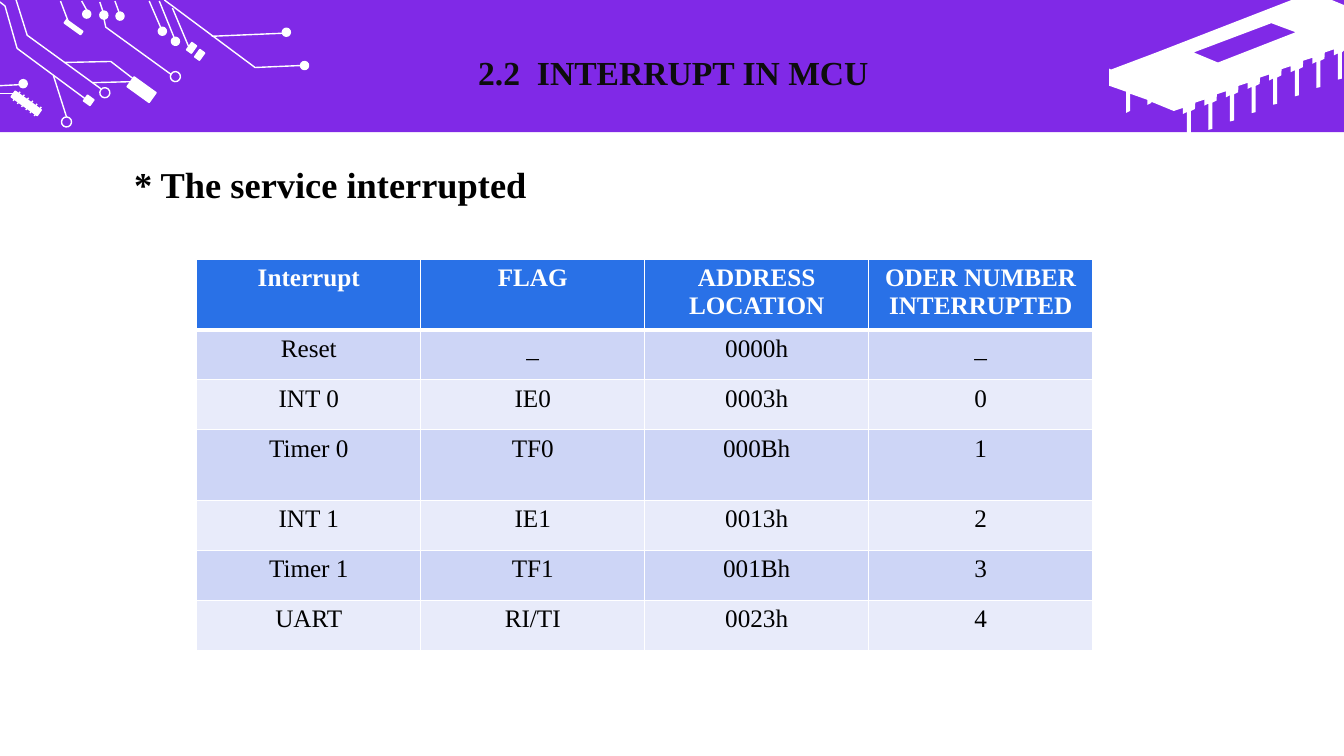
from lxml import etree
from pptx import Presentation, util as u
from pptx.dml.color import RGBColor
from pptx.enum import shapes as sh, text as tx
from pptx.oxml.ns import qn

FONT = "Times New Roman"
WHITE = "FFFFFF"
TILT = 35.7


def color(code):
    return RGBColor.from_string(code)


def paint(part, fill=None, line=None):
    part.shadow.inherit = False
    if fill:
        part.fill.solid()
        part.fill.fore_color.rgb = color(fill)
    else:
        part.fill.background()
    if line:
        part.line.color.rgb = color(line)
        part.line.width = u.Pt(1)
    else:
        part.line.fill.background()


def grid(x, y, wide, cols):
    """Map drawing units to lengths inside a box of the given width."""
    step = wide / cols
    return (lambda n: u.Cm(n * step),
            lambda px, py: (u.Cm(x + px * step), u.Cm(y + py * step)))


def write(para, words, size, ink, bold, align):
    para.text = words
    para.alignment = align
    font = para.font
    font.name, font.size, font.bold = FONT, u.Pt(size), bold
    font.color.rgb = color(ink)


def label(slide, box, words, size, ink, align):
    frame = slide.shapes.add_textbox(*map(u.Cm, box)).text_frame
    frame.word_wrap = True
    write(frame.paragraphs[0], words, size, ink, True, align)
    return frame


def trace(slide, spot, loops, closed):
    first, *rest = [[spot(*p) for p in loop] for loop in loops]
    pen = slide.shapes.build_freeform(*first[0], scale=1.0)
    pen.add_line_segments(first[1:], close=closed)
    for loop in rest:
        pen.move_to(*loop[0])
        pen.add_line_segments(loop[1:], close=closed)
    return pen.convert_to_shape()


def wire(slide, start, end):
    line = slide.shapes.add_connector(sh.MSO_CONNECTOR.STRAIGHT, *start, *end)
    line.line.color.rgb = color(WHITE)
    line.line.width = u.Pt(1)
    etree.SubElement(line._element.spPr, qn("a:effectLst"))


def chip(slide, x, y, wide):
    size, spot = grid(x, y, wide, 233)
    edge = [(181, 0), (221, 0), (233, 5)]
    # Eight pins along the front edge, right to left
    for i in range(8):
        px, py = 231 - 21.4 * i, 52 + 8.3 * i
        edge += [(min(px + 4, 233), py - 2), (px, py), (px, py + 26),
                 (px - 4, py + 27), (px - 4, py + 1), (px - 8, py + 3),
                 (px - 8, py - 3), (px - 17, py)]
    # Left end with its two pins
    edge += [(42, 101), (42, 102), (38, 104), (38, 99), (21, 93), (21, 110),
             (17, 112), (17, 91), (0, 85), (0, 68), (2, 69), (47, 52)]
    window = [(161, 23), (84, 52), (108, 62), (185, 32)]
    paint(trace(slide, spot, [window, edge], True), WHITE)


def board(slide, x, y, wide):
    size, spot = grid(x, y, wide, 305)

    def part(kind, px, py, w, h, fill=WHITE):
        item = slide.shapes.add_shape(kind, *spot(px, py), size(w), size(h))
        item.rotation = TILT
        paint(item, fill, WHITE)

    # Small blocks
    for block in [(127, 83, 27, 12), (63, 25, 20, 4), (84, 96, 8, 7),
                  (187, 43, 6, 9), (195, 50, 6, 9), (10, 99, 32, 7)]:
        part(sh.MSO_SHAPE.RECTANGLE, *block)
    # Solid dots
    for dot in [(298, 61), (280, 28), (82, 10), (99, 11), (115, 12),
                (19, 79), (170, 37), (157, 27)]:
        part(sh.MSO_SHAPE.OVAL, *dot, 8, 8)
    # Open rings
    for ring in [(169, 71), (99, 87), (61, 116)]:
        part(sh.MSO_SHAPE.OVAL, *ring, 10, 10, None)
    # Bent tracks
    for track in [[(163, 0), (253, 67), (299, 65)],
                  [(16, 0), (27, 35), (100, 88)],
                  [(0, 2), (5, 6), (17, 48), (86, 99)],
                  [(64, 62), (110, 61), (132, 78)],
                  [(103, 18), (105, 27), (170, 74)]]:
        paint(trace(slide, spot, [track], False), None, WHITE)
    # Straight tracks and the teeth of the coil
    tracks = [(60, 1, 68, 22), (81, 1, 86, 10), (99, 2, 102, 11),
              (114, 1, 118, 12), (148, 1, 161, 31), (158, 1, 173, 38),
              (210, 36, 280, 33), (171, 8, 187, 46), (0, 85, 19, 84),
              (0, 93, 14, 93), (53, 75, 66, 116), (92, 82, 130, 81)]
    tracks += [(13 + 4.2 * i, 100 + 3 * i, 20 + 4.2 * i, 91 + 3 * i)
               for i in range(6)]
    for ax, ay, bx, by in tracks:
        wire(slide, spot(ax, ay), spot(bx, by))


def header(slide, x, y, wide, high):
    band = slide.shapes.add_shape(sh.MSO_SHAPE.RECTANGLE,
                                  *map(u.Cm, (x, y, wide, high)))
    paint(band, "8029E7")
    chip(slide, x + wide - 5.92, y, 5.92)
    board(slide, x, y, 7.75)
    frame = label(slide, (x + 0.89, y + 0.76, wide - 1.71, 2.01),
                  "2.2  INTERRUPT IN MCU", 24, "0D0D0D", tx.PP_ALIGN.CENTER)
    frame.vertical_anchor = tx.MSO_ANCHOR.MIDDLE
    para = frame.paragraphs[0]
    para.line_spacing, para.space_before = 1.1, u.Pt(10)


def border(cell, low):
    props = cell._tc.get_or_add_tcPr()
    for i, (side, pts) in enumerate([("L", 1), ("R", 1), ("T", 1), ("B", low)]):
        line = etree.Element(qn("a:ln" + side), w=str(u.Pt(pts)))
        fill = etree.SubElement(line, qn("a:solidFill"))
        etree.SubElement(fill, qn("a:srgbClr"), val=WHITE)
        props.insert(i, line)


def table(slide, x, y, wide):
    rows = [
        ("Interrupt", "FLAG", "ADDRESS LOCATION", "ODER NUMBER INTERRUPTED"),
        ("Reset", "_", "0000h", "_"),
        ("INT 0", "IE0", "0003h", "0"),
        ("Timer 0", "TF0", "000Bh", "1"),
        ("INT 1", "IE1", "0013h", "2"),
        ("Timer 1", "TF1", "001Bh", "3"),
        ("UART", "RI/TI", "0023h", "4"),
    ]
    highs = [1.73, 1.26, 1.26, 1.78, 1.26, 1.26, 1.26]
    box = map(u.Cm, (x, y, wide, sum(highs)))
    body = slide.shapes.add_table(len(rows), len(rows[0]), *box).table
    for r, (row, high) in enumerate(zip(rows, highs)):
        body.rows[r].height = u.Cm(high)
        head = r == 0
        fill = "2971E7" if head else ("E8EBFA", "CDD5F6")[r % 2]
        for c, words in enumerate(row):
            cell = body.cell(r, c)
            cell.fill.solid()
            cell.fill.fore_color.rgb = color(fill)
            border(cell, 3 if head else 1)
            write(cell.text_frame.paragraphs[0], words, 18,
                  WHITE if head else "000000", head, tx.PP_ALIGN.CENTER)


def main():
    deck = Presentation()
    deck.slide_width, deck.slide_height = u.Cm(33.87), u.Cm(19.05)
    slide = deck.slides.add_slide(deck.slide_layouts[6])
    header(slide, 0, 0, 33.87, 3.33)
    label(slide, (3.13, 3.96, 25.12, 1.37), "* The service interrupted",
          26, "000000", tx.PP_ALIGN.JUSTIFY)
    table(slide, 4.96, 6.53, 22.58)
    deck.save("out.pptx")


if __name__ == "__main__":
    main()
